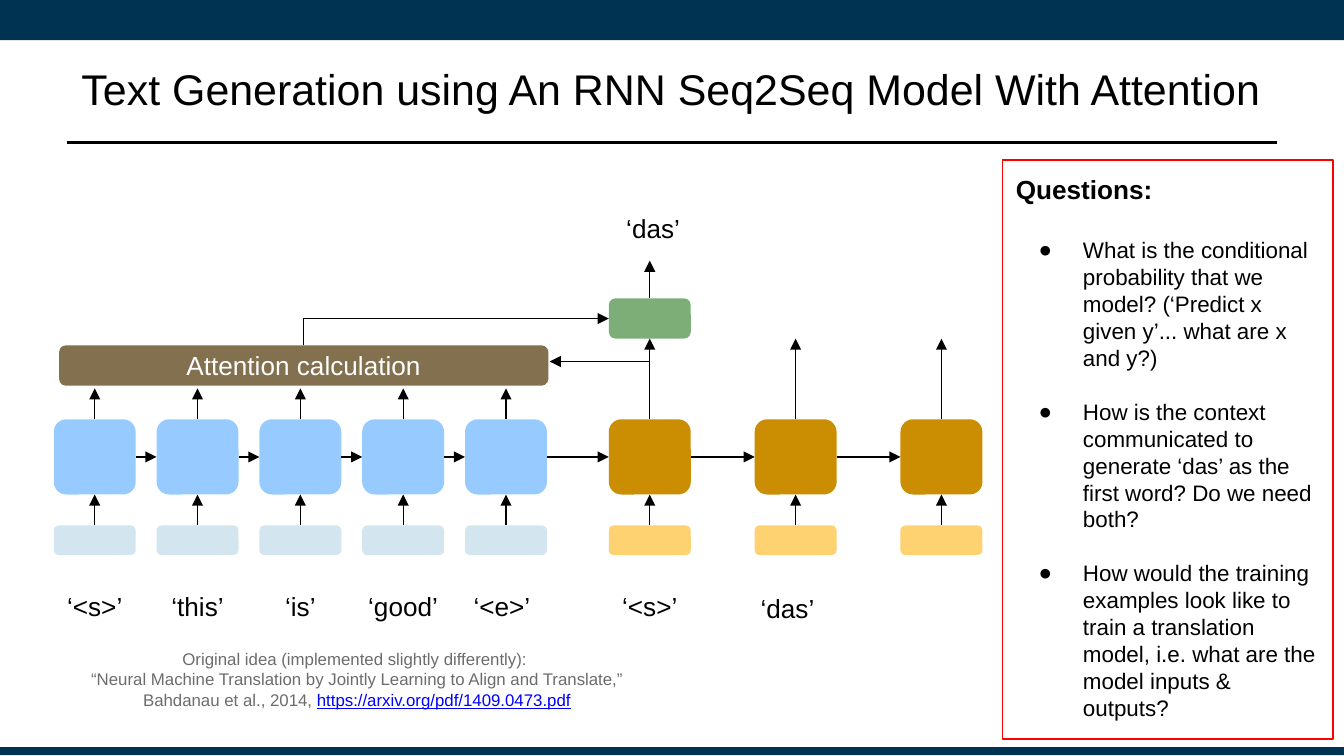
from lxml import etree
from pptx import Presentation
from pptx.dml.color import RGBColor
from pptx.enum.shapes import MSO_CONNECTOR, MSO_SHAPE
from pptx.enum.text import MSO_ANCHOR, PP_ALIGN
from pptx.oxml.ns import qn
from pptx.util import Inches, Pt

STRAIGHT, ELBOW = MSO_CONNECTOR.STRAIGHT, MSO_CONNECTOR.ELBOW
RECT, ROUNDED = MSO_SHAPE.RECTANGLE, MSO_SHAPE.ROUNDED_RECTANGLE
TOP, MIDDLE, BOTTOM = MSO_ANCHOR.TOP, MSO_ANCHOR.MIDDLE, MSO_ANCHOR.BOTTOM
LEFT, CENTER = PP_ALIGN.LEFT, PP_ALIGN.CENTER
SIDE_TOP, SIDE_LEFT, SIDE_BOTTOM, SIDE_RIGHT = range(4)

BLACK, WHITE, NAVY = "000000", "FFFFFF", "003252"
CELL_W, CELL_H, INPUT_H = 0.61, 0.56, 0.22
INPUT_DROP, LABEL_DROP = 0.79, 1.23

# Label text, width, and shift from the centre of its column
ENCODER_LABELS = [("‘<s>’", 0.61, 0, 0), ("‘this’", 0.61, 0, 0), ("‘is’", 0.61, 0, 0),
                  ("‘good’", 0.7, 0, 0), ("‘<e>’", 0.61, -0.03, 0)]
DECODER_LABELS = [("‘<s>’", 0.61, 0, 0), ("‘das’", 0.61, -0.06, 0.02), None]
QUESTIONS = [
    "What is the conditional probability that we model? "
    "(‘Predict x given y’... what are x and y?)",
    "How is the context communicated to generate ‘das’ as the first word? "
    "Do we need both?",
    "How would the training examples look like to train a translation model, "
    "i.e. what are the model inputs & outputs?",
]
CITATION = (
    "Original idea (implemented slightly differently): \n"
    "“Neural Machine Translation by Jointly Learning to Align and Translate,”\n"
    "Bahdanau et al., 2014, "
)
CITATION_URL = "https://arxiv.org/pdf/1409.0473.pdf"


def rgb(value):
    return RGBColor.from_string(value)


def set_frame(shape, anchor=TOP, inset_x=0.07, inset_y=0.04):
    frame = shape.text_frame
    frame.word_wrap = True
    frame.vertical_anchor = anchor
    frame.margin_left = frame.margin_right = Inches(inset_x)
    frame.margin_top = frame.margin_bottom = Inches(inset_y)
    return frame


def write(paragraph, text, size=14, color=BLACK, bold=False, underline=False, align=CENTER):
    paragraph.alignment = align
    for index, line in enumerate(text.split("\n")):
        if index:
            paragraph.add_line_break()
        run = paragraph.add_run()
        run.text = line
        font = run.font
        font.name, font.size = "Arial", Pt(size)
        font.bold, font.underline = bold, underline
        font.color.rgb = rgb(color)


def add_box(slide, left, top, width, height, fill=None, line=None, kind=ROUNDED):
    box = slide.shapes.add_shape(kind, Inches(left), Inches(top), Inches(width), Inches(height))
    box.shadow.inherit = False
    if fill:
        box.fill.solid()
        box.fill.fore_color.rgb = rgb(fill)
    else:
        box.fill.background()
    if line:
        box.line.color.rgb = rgb(line)
        box.line.width = Pt(0.75)
    else:
        box.line.fill.background()
    return box


def add_label(slide, text, left, top, width, height, inset_y=0.04):
    label = slide.shapes.add_textbox(Inches(left), Inches(top), Inches(width), Inches(height))
    write(set_frame(label, inset_y=inset_y).paragraphs[0], text)


def add_line(slide, start, end, width=0.75, arrow=True, kind=STRAIGHT, source=None, target=None):
    """Draw a line; source and target are (shape, side) pairs to join."""
    line = slide.shapes.add_connector(kind, *(Inches(v) for v in (*start, *end)))
    line.line.color.rgb = rgb(BLACK)
    line.line.width = Pt(width)
    if arrow:
        etree.SubElement(line.line._get_or_add_ln(), qn("a:tailEnd"), type="triangle")
    etree.SubElement(line._element.spPr, qn("a:effectLst"))
    if source:
        line.begin_connect(*source)
    if target:
        line.end_connect(*target)
    return line


def add_header(slide, left, top, width, height):
    # Bars at the slide edges and the rule below the title
    add_box(slide, 0, 0, 10, 0.3, NAVY, kind=RECT)
    add_box(slide, 0, 5.56, 10, 0.06, NAVY, kind=RECT)
    add_line(slide, (left, 1.06), (left + width, 1.06), width=1.25, arrow=False)
    title = slide.shapes.title
    title.left, title.top = Inches(left), Inches(top)
    title.width, title.height = Inches(width), Inches(height)
    write(set_frame(title, MIDDLE).paragraphs[0],
          "Text Generation using An RNN Seq2Seq Model With Attention", size=23)


def add_chain(slide, left, top, pitch, labels, cell_fill, input_fill, previous=None):
    """Place one recurrent cell per label, linked from left to right."""
    cells = []
    for index, label in enumerate(labels):
        x = left + index * pitch
        middle = x + CELL_W / 2
        cell = add_box(slide, x, top, CELL_W, CELL_H, cell_fill)
        token = add_box(slide, x, top + INPUT_DROP, CELL_W, INPUT_H, input_fill)
        add_line(slide, (middle, top + INPUT_DROP), (middle, top + CELL_H),
                 source=(token, SIDE_TOP), target=(cell, SIDE_BOTTOM))
        if previous:
            add_line(slide, (x, top), (x, top),
                     source=(previous, SIDE_RIGHT), target=(cell, SIDE_LEFT))
        if label:
            text, width, dx, dy = label
            add_label(slide, text, middle - width / 2 + dx, top + LABEL_DROP + dy, width, 0.3)
        cells.append(cell)
        previous = cell
    return cells


def add_model(slide, left, top):
    # Encoder and decoder
    cell_top = top + 1.61
    encoder_pitch, decoder_left, decoder_pitch = 0.765, left + 4.13, 1.085
    encoder = add_chain(slide, left, cell_top, encoder_pitch, ENCODER_LABELS, "97CBFF", "D3E6EF")
    decoder = add_chain(slide, decoder_left, cell_top, decoder_pitch, DECODER_LABELS,
                        "CB8D01", "FED171", previous=encoder[-1])

    # Attention bar, fed by every encoder cell
    attention = add_box(slide, left + 0.04, top + 1.06, 3.64, 0.3, "82704F")
    write(set_frame(attention, MIDDLE, inset_y=0.07).paragraphs[0],
          "Attention calculation", color=WHITE)
    for index, cell in enumerate(encoder):
        x = left + index * encoder_pitch + CELL_W / 2
        add_line(slide, (x, cell_top), (x, top + 1.38), source=(cell, SIDE_TOP))

    # Output box and the word it predicts
    output = add_box(slide, decoder_left, top + 0.71, CELL_W, 0.3, "7EAE78")
    output_x = decoder_left + CELL_W / 2
    add_line(slide, (output_x, top + 0.71), (output_x, top + 0.43), source=(output, SIDE_TOP))
    add_label(slide, "‘das’", decoder_left + 0.04, top, 0.58, 0.38, inset_y=0.07)

    # Decoder states upwards; the first one also queries the attention
    for index, cell in enumerate(decoder):
        x = output_x + index * decoder_pitch
        add_line(slide, (x, cell_top), (x, top + 1.01), source=(cell, SIDE_TOP),
                 target=None if index else (output, SIDE_BOTTOM))
    add_line(slide, (output_x, top + 1.18), (left + 3.69, top + 1.18))

    # Context path: up from the attention bar, then right to the output
    rise, run = 0.2, 2.27
    x, y = left + 1.86 + (run - rise) / 2, top + 0.96 - run / 2
    context = add_line(slide, (x, y), (x + rise, y + run), kind=ELBOW)
    context._element.spPr.find(qn("a:prstGeom")).set("prst", "bentConnector2")
    context._element.spPr.find(qn("a:xfrm")).set("rot", str(270 * 60000))


def add_citation(slide, left, top, width, height):
    note = slide.shapes.add_textbox(Inches(left), Inches(top), Inches(width), Inches(height))
    paragraph = set_frame(note, BOTTOM).paragraphs[0]
    write(paragraph, CITATION, size=9, color="6C6C6C")
    write(paragraph, CITATION_URL, size=9, color="0000FF", underline=True)


def add_questions(slide, left, top, width, height):
    panel = add_box(slide, left, top, width, height, line="FF0000", kind=RECT)
    frame = set_frame(panel, inset_x=0.1, inset_y=0.1)
    heading = frame.paragraphs[0]
    write(heading, "Questions:", bold=True, align=LEFT)
    heading.space_after = Pt(17)
    for index, question in enumerate(QUESTIONS):
        item = frame.add_paragraph()
        properties = item._p.get_or_add_pPr()
        properties.set("marL", str(Inches(0.5)))
        properties.set("indent", str(Inches(-0.33)))
        bullet_color = etree.SubElement(properties, qn("a:buClr"))
        etree.SubElement(bullet_color, qn("a:srgbClr"), val=BLACK)
        etree.SubElement(properties, qn("a:buSzPts"), val="1200")
        etree.SubElement(properties, qn("a:buFont"), typeface="Arial")
        etree.SubElement(properties, qn("a:buChar"), char="●")
        write(item, question, size=12, align=LEFT)
        if index < len(QUESTIONS) - 1:
            item.space_after = Pt(14.5)


def main():
    deck = Presentation()
    deck.slide_width, deck.slide_height = Inches(10), Inches(5.625)
    slide = deck.slides.add_slide(deck.slide_layouts[5])
    add_header(slide, 0.5, 0.19, 9, 0.94)
    add_model(slide, 0.4, 1.51)
    add_citation(slide, 0, 4.94, 5.31, 0.38)
    add_questions(slide, 7.46, 1.19, 2.46, 4.31)
    deck.save("out.pptx")


if __name__ == "__main__":
    main()
